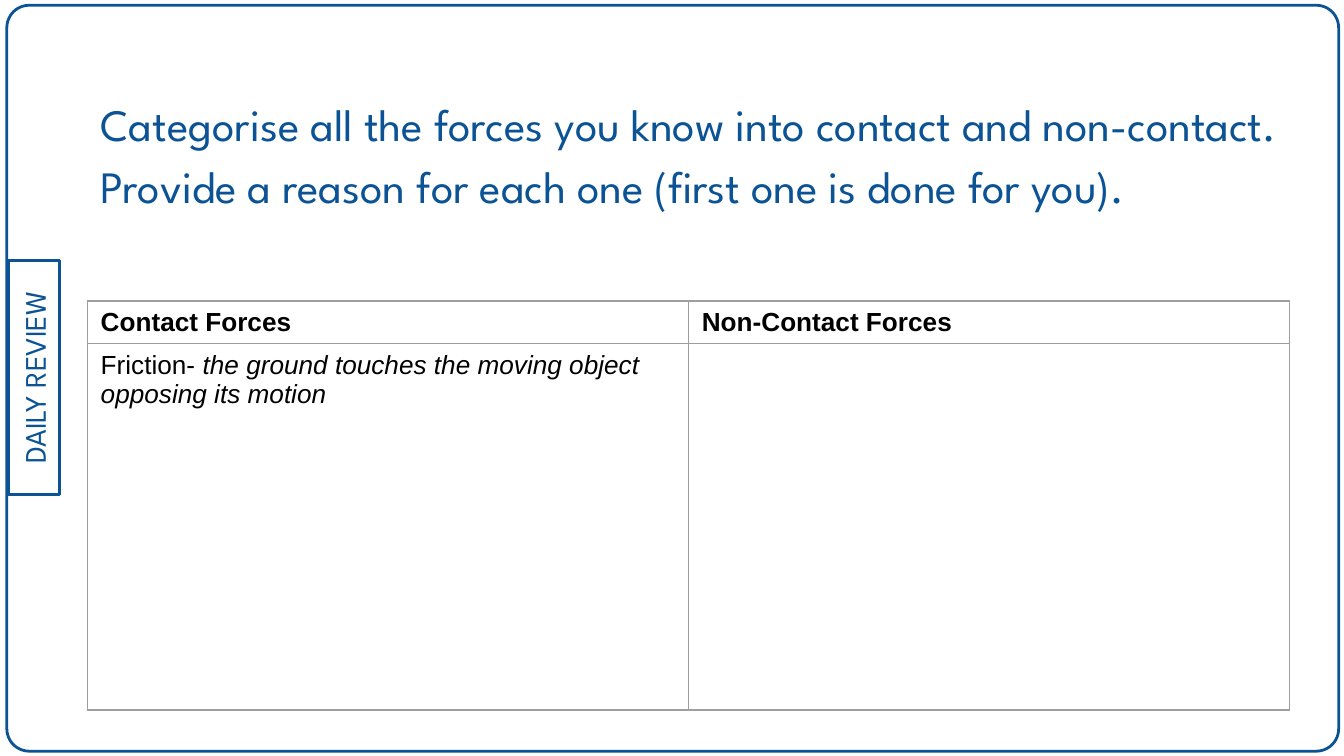
from lxml import etree
from pptx import Presentation
from pptx.dml.color import RGBColor
from pptx.enum.shapes import MSO_SHAPE
from pptx.enum.text import MSO_ANCHOR, MSO_AUTO_SIZE, PP_ALIGN
from pptx.oxml.ns import qn
from pptx.util import Cm, Pt

ROUNDED = MSO_SHAPE.ROUNDED_RECTANGLE
RECTANGLE = MSO_SHAPE.RECTANGLE
MIDDLE = MSO_ANCHOR.MIDDLE
NO_AUTOFIT = MSO_AUTO_SIZE.NONE
LEFT, CENTER = PP_ALIGN.LEFT, PP_ALIGN.CENTER

BLUE, BLACK, GREY = "0B5394", "000000", "9E9E9E"
HEADING_FONT, TABLE_FONT = "League Spartan", "Arial"
QUESTION = [
    "Categorise all the forces you know into contact and non-contact.",
    "Provide a reason for each one (first one is done for you).",
]
HEADERS = ["Contact Forces", "Non-Contact Forces"]
EXAMPLE = [
    ("Friction- ", False),
    ("the ground touches the moving object opposing its motion", True),
]


def color(hex_text):
    return RGBColor.from_string(hex_text)


def add_run(p, text, size, font, hex_text, bold=False, italic=False):
    r = p.add_run()
    r.text = text
    r.font.size = Pt(size)
    r.font.name = font
    r.font.color.rgb = color(hex_text)
    r.font.bold = bold
    r.font.italic = italic


def place(s, left, top, width, height):
    s.left, s.top, s.width, s.height = Cm(left), Cm(top), Cm(width), Cm(height)


def add_outline(slide, kind, left, top, width, height):
    sp = slide.shapes.add_shape(kind, Cm(left), Cm(top), Cm(width), Cm(height))
    sp.shadow.inherit = False
    sp.fill.background()
    sp.line.color.rgb = color(BLUE)
    sp.line.width = Pt(1.5)
    return sp


def add_side_label(slide, text):
    sp = add_outline(slide, RECTANGLE, -1.57, 6.65, 4.42, 0.97)
    sp.rotation = 270
    tf = sp.text_frame
    tf.vertical_anchor = MIDDLE
    p = tf.paragraphs[0]
    p.alignment = CENTER
    add_run(p, text, 16, HEADING_FONT, BLUE)


def fill_title(slide, lines):
    title = slide.shapes.title
    place(title, 1.65, 1.3, 23.5, 3.1)
    tf = title.text_frame
    tf.word_wrap = True
    tf.auto_size = NO_AUTOFIT
    tf.vertical_anchor = MIDDLE
    for i, line in enumerate(lines):
        p = tf.add_paragraph() if i else tf.paragraphs[0]
        p.alignment = LEFT
        p.line_spacing = 1.15
        p.space_before = Pt(0)
        add_run(p, line, 24, HEADING_FONT, BLUE)


def set_borders(cell):
    props = cell._tc.get_or_add_tcPr()
    for i, side in enumerate(("a:lnL", "a:lnR", "a:lnT", "a:lnB")):
        line = etree.Element(qn(side), w=str(Pt(0.75)))
        fill = etree.SubElement(line, qn("a:solidFill"))
        etree.SubElement(fill, qn("a:srgbClr"), val=GREY)
        props.insert(i, line)


def add_forces_table(slide):
    frame = slide.shapes.add_table(2, 2, Cm(1.65), Cm(5.69), Cm(22.72), Cm(7.73))
    table = frame.table
    table.first_row = False
    table.horz_banding = False
    table.rows[0].height = Cm(0.81)
    table.rows[1].height = Cm(6.92)
    for cell in table.iter_cells():
        cell.fill.background()
        set_borders(cell)
    for i, header in enumerate(HEADERS):
        p = table.cell(0, i).text_frame.paragraphs[0]
        add_run(p, header, 14, TABLE_FONT, BLACK, bold=True)
    p = table.cell(1, 0).text_frame.paragraphs[0]
    for text, italic in EXAMPLE:
        add_run(p, text, 14, TABLE_FONT, BLACK, italic=italic)


def main():
    prs = Presentation()
    prs.slide_width, prs.slide_height = Cm(25.4), Cm(14.29)
    slide = prs.slides.add_slide(prs.slide_layouts[5])
    border = add_outline(slide, ROUNDED, 0.13, 0.1, 25.17, 14.1)
    border.adjustments[0] = 0.03
    add_side_label(slide, "DAILY REVIEW")
    fill_title(slide, QUESTION)
    add_forces_table(slide)
    prs.save("out.pptx")


if __name__ == "__main__":
    main()
